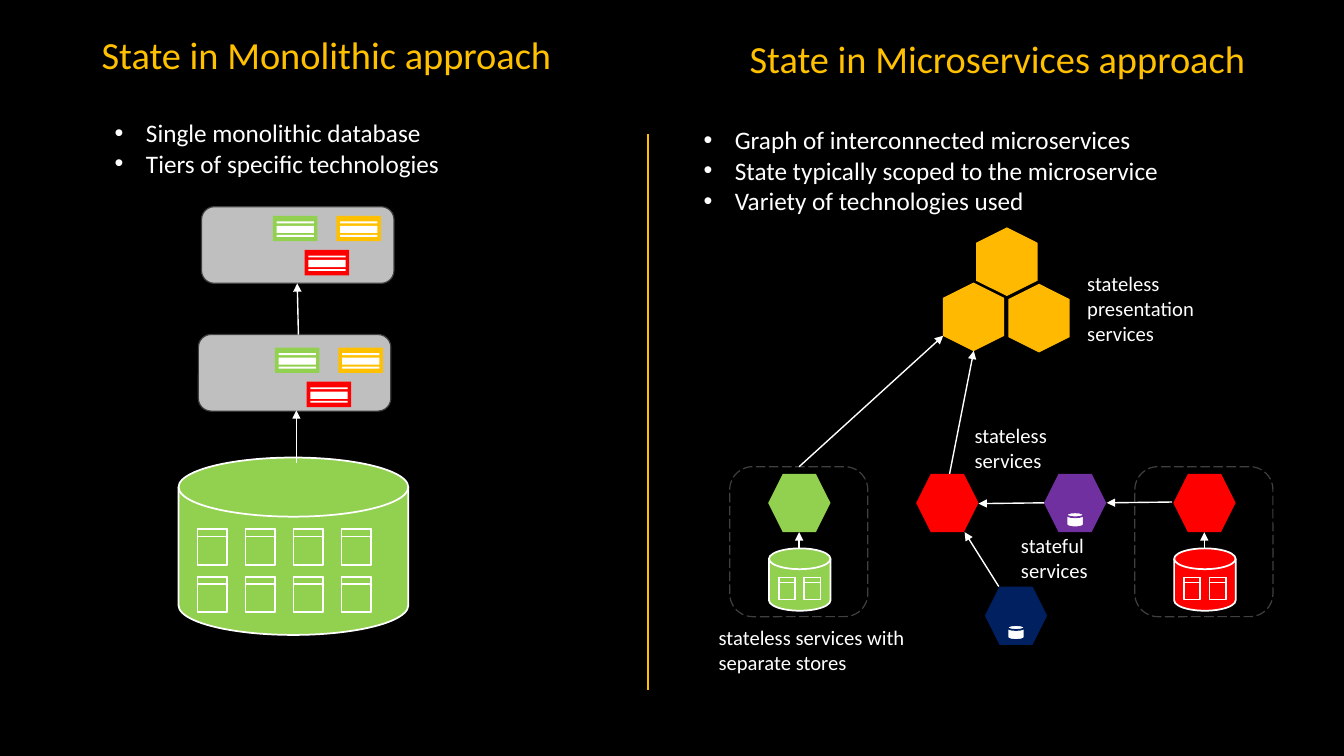
import dataclasses

import pptx
import pptx.dml.color
import pptx.enum.dml
import pptx.enum.shapes
import pptx.enum.text
import pptx.oxml.ns
import pptx.util
from lxml import etree

Cm, Pt = pptx.util.Cm, pptx.util.Pt
KIND = pptx.enum.shapes.MSO_SHAPE
DASH = pptx.enum.dml.MSO_LINE.LONG_DASH


@dataclasses.dataclass(frozen=True)
class Theme:
    font: str = "Calibri"
    title: float = 27.4
    body: float = 18
    label: float = 14.7
    outline: float = 1.25
    arrow: float = 1
    frame: float = 0.85
    back: str = "000000"
    white: str = "FFFFFF"
    gold: str = "FFC000"
    amber: str = "FFB900"
    green: str = "92D050"
    red: str = "FF0000"
    purple: str = "7030A0"
    navy: str = "002060"
    grey: str = "BFBFBF"
    dark: str = "404040"


T = Theme()


def rgb(color):
    return pptx.dml.color.RGBColor.from_string(color)


def add_shape(slide, kind, x, y, w, h, fill=None, line=None, width=T.outline):
    sp = slide.shapes.add_shape(kind, Cm(x), Cm(y), Cm(w), Cm(h))
    sp.shadow.inherit = False
    if fill:
        sp.fill.solid()
        sp.fill.fore_color.rgb = rgb(fill)
    else:
        sp.fill.background()
    if line:
        sp.line.color.rgb = rgb(line)
        sp.line.width = Pt(width)
    else:
        sp.line.fill.background()
    return sp


def add_line(slide, x1, y1, x2, y2, color=T.white, width=T.arrow, arrow=True):
    cn = slide.shapes.add_connector(
        pptx.enum.shapes.MSO_CONNECTOR.STRAIGHT, Cm(x1), Cm(y1), Cm(x2), Cm(y2))
    cn.line.color.rgb = rgb(color)
    cn.line.width = Pt(width)
    if arrow:
        ln = cn.line._get_or_add_ln()
        etree.SubElement(ln, pptx.oxml.ns.qn("a:tailEnd"), type="triangle")
    etree.SubElement(cn._element.spPr, pptx.oxml.ns.qn("a:effectLst"))


def add_text(slide, x, y, w, h, lines, size, color=T.white, wrap=True, bullet=False):
    tf = slide.shapes.add_textbox(Cm(x), Cm(y), Cm(w), Cm(h)).text_frame
    tf.word_wrap = wrap
    tf.auto_size = pptx.enum.text.MSO_AUTO_SIZE.SHAPE_TO_FIT_TEXT
    for i, line in enumerate(lines):
        p = tf.add_paragraph() if i else tf.paragraphs[0]
        if bullet:
            pPr = p._p.get_or_add_pPr()
            pPr.set("marL", str(Cm(0.79)))
            pPr.set("indent", str(-Cm(0.79)))
            etree.SubElement(pPr, pptx.oxml.ns.qn("a:buFont"), typeface="Arial")
            etree.SubElement(pPr, pptx.oxml.ns.qn("a:buChar"), char="•")
        r = p.add_run()
        r.text = line
        r.font.name = T.font
        r.font.size = Pt(size)
        r.font.color.rgb = rgb(color)


def add_table_icon(slide, x, y, w, h, header):
    for height in (h, header):
        add_shape(slide, KIND.RECTANGLE, x, y, w, height, line=T.white)


def add_card(slide, x, y, color):
    add_shape(slide, KIND.RECTANGLE, x, y, 1.12, 0.64, color)
    for dy, h in ((0.14, 0.05), (0.25, 0.18), (0.48, 0.05)):
        add_shape(slide, KIND.RECTANGLE, x + 0.09, y + dy, 0.94, h, T.white)


def add_tier(slide, x, y, card_dx, card_dy):
    add_shape(slide, KIND.ROUNDED_RECTANGLE, x, y, 4.85, 1.93, T.grey, T.dark, T.frame)
    for i, (color, row) in enumerate(((T.green, 0), (T.red, 1), (T.gold, 0))):
        add_card(slide, x + card_dx + 0.8 * i, y + card_dy + 0.86 * row, color)


def add_hexagon(slide, x, y, color, stateful=False):
    add_shape(slide, KIND.HEXAGON, x, y, 1.57, 1.47, color)
    if stateful:
        add_shape(slide, KIND.FLOWCHART_MAGNETIC_DISK, x + 0.57, y + 0.97, 0.43, 0.38,
                  T.white, color)


def add_service_with_store(slide, x, y, color):
    frame = add_shape(slide, KIND.ROUNDED_RECTANGLE, x, y, 3.48, 3.78,
                      line=T.dark, width=T.frame)
    frame.line.dash_style = DASH
    add_shape(slide, KIND.FLOWCHART_MAGNETIC_DISK, x + 0.99, y + 2.06, 1.55, 1.57,
              color, T.white)
    for i in range(2):
        add_table_icon(slide, x + 1.24 + 0.64 * i, y + 2.79, 0.41, 0.56, 0.13)
    add_line(slide, x + 1.75, y + 2.06, x + 1.75, y + 1.65)
    add_hexagon(slide, x + 0.97, y + 0.18, color)


def add_monolith(slide, x, y):
    # Heading and points
    add_text(slide, x + 2.31, y + 0.66, 11.99, 1.42, ["State in Monolithic approach"],
             T.title, T.gold, wrap=False)
    add_text(slide, x + 2.64, y + 2.84, 8.92, 1.78,
             ["Single monolithic database", "Tiers of specific technologies"],
             T.body, wrap=False, bullet=True)
    # Shared database
    add_shape(slide, KIND.FLOWCHART_MAGNETIC_DISK, x + 4.5, y + 11.53, 5.79, 4.47,
              T.green, T.white)
    for row in range(2):
        for col in range(4):
            add_table_icon(slide, x + 4.98 + 1.21 * col, y + 13.34 + 1.2 * row,
                           0.74, 0.89, 0.18)
    # Tiers above it
    add_tier(slide, x + 5.08, y + 5.21, 1.8, 0.23)
    add_tier(slide, x + 5, y + 8.43, 1.93, 0.33)
    add_line(slide, x + 7.52, y + 8.43, x + 7.49, y + 7.14)
    add_line(slide, x + 7.47, y + 11.66, x + 7.47, y + 10.34)


def add_microservices(slide, x, y):
    # Heading and points
    add_text(slide, x + 2.31, y + 0.76, 13.16, 1.42, ["State in Microservices approach"],
             T.title, T.gold, wrap=False)
    add_text(slide, x + 1.15, y + 3.02, 12.09, 2.57,
             ["Graph of interconnected microservices",
              "State typically scoped to the microservice",
              "Variety of technologies used"], T.body, wrap=False, bullet=True)
    # Services
    for dx, dy in ((7.34, 7.21), (8.99, 7.24), (8.18, 5.82)):
        sp = add_shape(slide, KIND.HEXAGON, x + dx, y + dy, 1.73, 1.55, T.amber)
        sp.rotation = 270
    add_service_with_store(slide, x + 2.06, y + 11.76, T.green)
    add_service_with_store(slide, x + 12.27, y + 11.76, T.red)
    add_hexagon(slide, x + 6.76, y + 11.94, T.red)
    add_hexagon(slide, x + 9.98, y + 11.94, T.purple, stateful=True)
    add_hexagon(slide, x + 8.49, y + 14.78, T.navy, stateful=True)
    # Calls between services
    for x1, y1, x2, y2 in ((3.81, 11.76, 7.44, 8.46), (7.6, 11.94, 8.21, 8.84),
                           (9.98, 12.67, 8.33, 12.69), (13.21, 12.65, 11.56, 12.67),
                           (8.84, 14.78, 7.98, 13.41)):
        add_line(slide, x + x1, y + y1, x + x2, y + y2)
    # Labels
    for dx, dy, w, h, lines in (
            (7.98, 10.54, 3.4, 1.55, ["stateless services"]),
            (1.53, 15.62, 5.33, 1.55, ["stateless services with", "separate stores"]),
            (9.15, 13.31, 3.4, 1.55, ["stateful services"]),
            (10.82, 6.71, 4.37, 2.13, ["stateless presentation services"])):
        add_text(slide, x + dx, y + dy, w, h, lines, T.label)


def main():
    prs = pptx.Presentation()
    prs.slide_width, prs.slide_height = Cm(33.87), Cm(19.05)
    slide = prs.slides.add_slide(prs.slide_layouts[6])
    slide.background.fill.solid()
    slide.background.fill.fore_color.rgb = rgb(T.back)
    middle = 16.33
    add_line(slide, middle, 3.38, middle, 17.4, T.gold, T.outline, arrow=False)
    add_monolith(slide, 0, 0)
    add_microservices(slide, middle, 0)
    prs.save("out.pptx")


if __name__ == "__main__":
    main()
